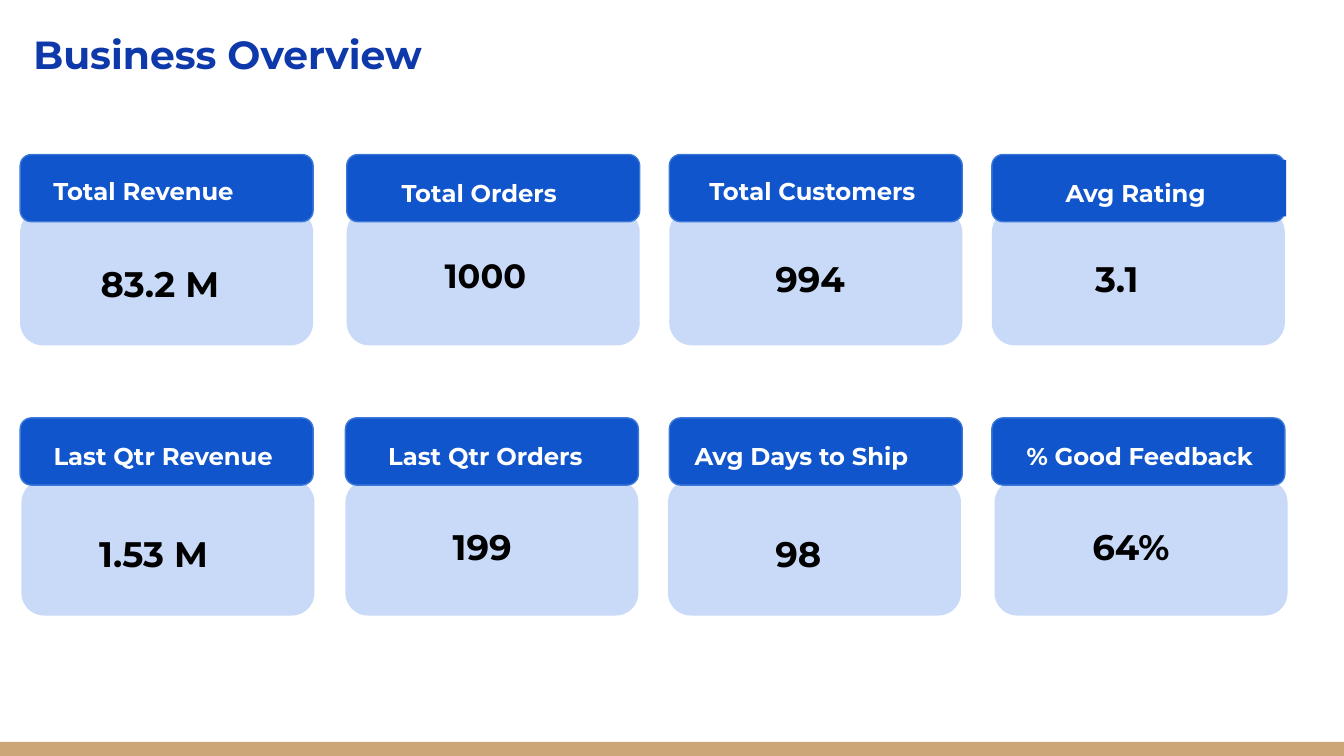
from pptx import Presentation
from pptx.dml.color import RGBColor
from pptx.enum.shapes import MSO_SHAPE
from pptx.util import Pt

PX = 9144  # 100 px to the inch
BLUE, PALE, EDGE = "1155CC", "C9DAF8", "3C78D8"
WIDE = 218

deck = Presentation()
deck.slide_width, deck.slide_height = 1000 * PX, 5625 * PX // 10
slide = deck.slides.add_slide(deck.slide_layouts[6])


def add_box(kind, x, y, w, h, fill, line=None):
    box = slide.shapes.add_shape(kind, x * PX, y * PX, w * PX, h * PX)
    box.shadow.inherit = False
    box.fill.solid()
    box.fill.fore_color.rgb = RGBColor.from_string(fill)
    if line:
        box.line.color.rgb = RGBColor.from_string(line)
        box.line.width = Pt(0.75)
    else:
        box.line.fill.background()


def add_text(text, x, y, w, h, size, color, space=1.15, fill=None):
    box = slide.shapes.add_textbox(x * PX, y * PX, w * PX, h * PX)
    if fill:
        box.fill.solid()
        box.fill.fore_color.rgb = RGBColor.from_string(fill)
    frame = box.text_frame
    frame.word_wrap = True
    frame.margin_left = frame.margin_top = frame.margin_bottom = 10 * PX
    frame.margin_right = 0
    para = frame.paragraphs[0]
    para.text = text
    para.line_spacing = space
    font = para.font
    font.name, font.size, font.bold = "Montserrat", Pt(size), True
    font.color.rgb = RGBColor.from_string(color)


add_box(MSO_SHAPE.RECTANGLE, 0, 552, 1000, 11, "CCA677")
add_text("Business Overview", 15, 7, 380, 56, 21, "0E39AA")

# Each row: head top, panel top, then its cards as
# (head x, panel x, label, (x, y, width), value, (x, y, width), size, spacing)
rows = [
    (115, 156, [
        (15, 15, "Total Revenue", (30, 118, 174), "83.2 M", (65, 180, 119), 19, 1.15),
        (258, 258, "Total Orders", (289, 119, 174), "1000", (321, 180, 93), 18, 1.0),
        (498, 498, "Total Customers", (518, 118, 174), "994", (567, 181, 82), 19, 1.0),
        (738, 738, "Avg Rating", (783, 119, 174), "3.1", (805, 181, 63), 19, 1.0),
    ]),
    (311, 357, [
        (15, 16, "Last Qtr Revenue", (30, 315, 189), "1.53 M", (64, 381, 106), 19, 1.15),
        (257, 257, "Last Qtr Orders", (279, 315, 174), "199", (327, 381, 82), 19, 1.0),
        (498, 497, "Avg Days to Ship", (507, 315, 185), "98", (567, 381, 82), 19, 1.15),
        (738, 740, "% Good Feedback", (754, 315, 189), "64%", (803, 381, 88), 19, 1.0),
    ]),
]

for head_y, panel_y, cards in rows:
    for head_x, panel_x, label, spot, value, place, size, space in cards:
        add_box(MSO_SHAPE.ROUNDED_RECTANGLE, panel_x, panel_y, WIDE, 101, PALE)
        add_box(MSO_SHAPE.ROUNDED_RECTANGLE, head_x, head_y, WIDE, 50, BLUE, EDGE)
        add_text(label, *spot, 42, 13, "FFFFFF", fill=BLUE)
        add_text(value, *place, 52, size, "000000", space)

deck.save("out.pptx")
